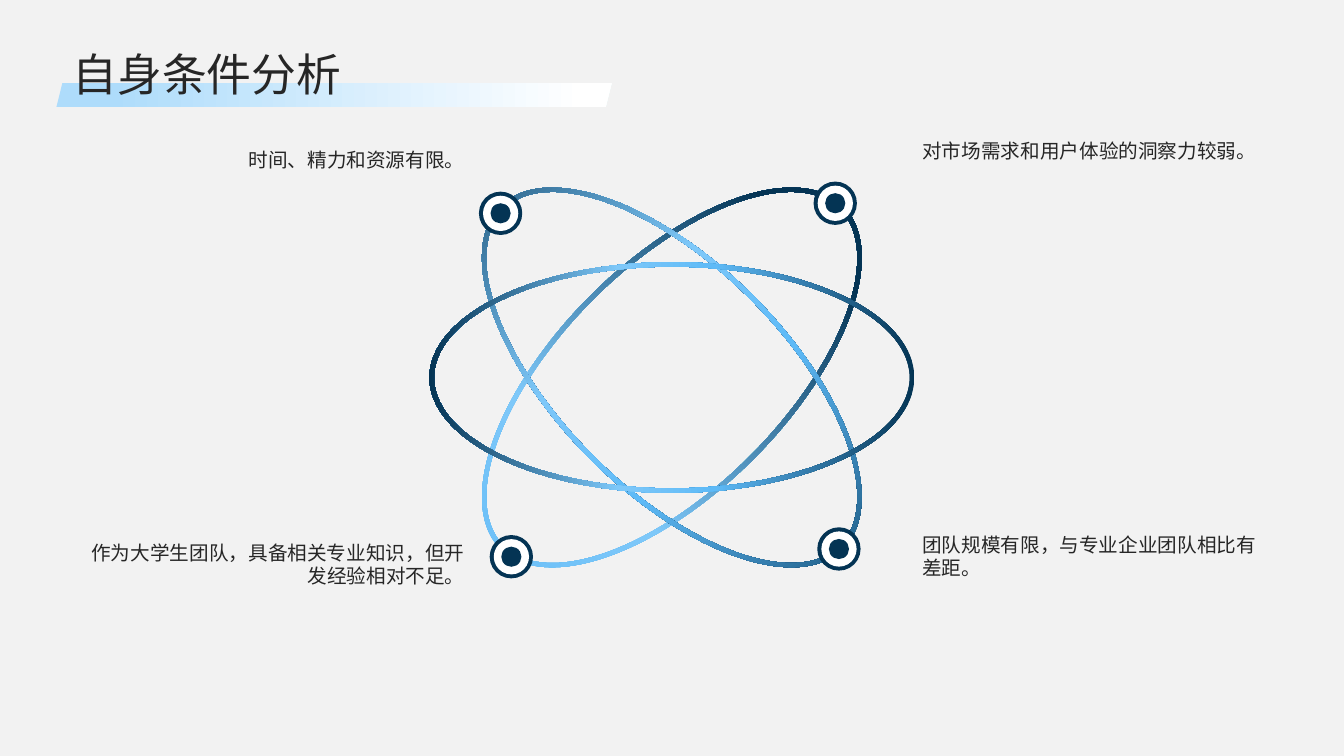
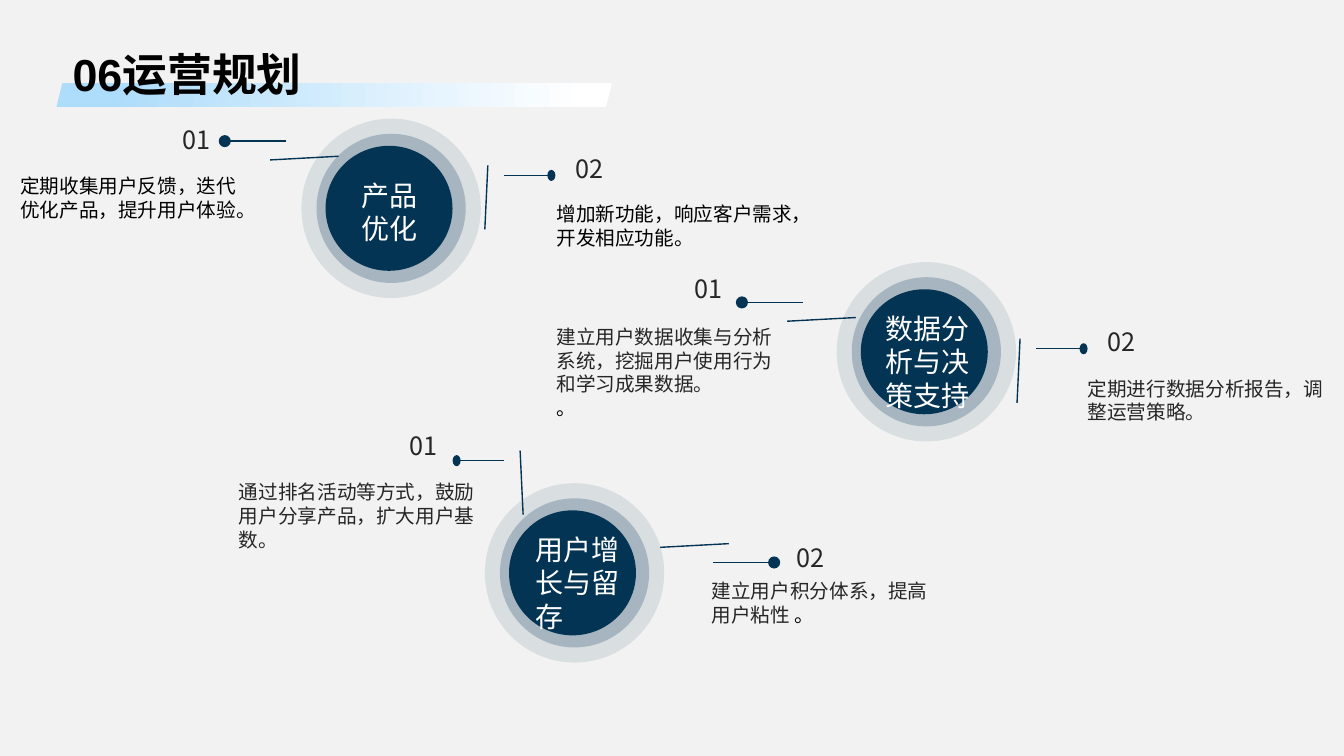
import pptx
import pptx.util
import pptx.dml.color
import pptx.enum.shapes
import pptx.enum.text
import pptx.oxml.ns
import lxml.etree

# The slide is a grid of 40 columns by 22.5 rows; every length counts its square cells.
COLUMNS, ROWS = 40, 22.5
CELL = pptx.util.Inches(1) / 3
COLORS = {
    "page": "F2F2F2", "navy": "043454", "blue": "5EBAF7", "sky": "7EC8F9",
    "pale": "AEDCFB", "white": "FFFFFF", "ink": "262626", "black": "000000",
}
FONT = "Noto Sans CJK SC"
SHAPES = pptx.enum.shapes.MSO_SHAPE
ANCHOR = pptx.enum.text.MSO_ANCHOR
ALIGN = pptx.enum.text.PP_ALIGN
RGB = pptx.dml.color.RGBColor.from_string
qn = pptx.oxml.ns.qn


def add_shape(page, kind, area, paint, opacity=100, angle=0):
    """Add an unlined shape; paint is a colour name or a list of (percent, colour) stops."""
    shape = page.shapes.add_shape(kind, *[round(n * CELL) for n in area])
    shape.shadow.inherit = False
    shape.line.fill.background()
    if isinstance(paint, str):
        shape.fill.solid()
        shape.fill.fore_color.rgb = RGB(COLORS[paint])
        if opacity < 100:
            color = shape._element.spPr.find(".//" + qn("a:srgbClr"))
            lxml.etree.SubElement(color, qn("a:alpha"), val=str(opacity * 1000))
        return shape
    shape.fill.gradient()
    shape.fill.gradient_angle = angle
    stops = shape._element.spPr.find(".//" + qn("a:gsLst"))
    for stop in list(stops):
        stops.remove(stop)
    for percent, name in paint:
        stop = lxml.etree.SubElement(stops, qn("a:gs"), pos=str(percent * 1000))
        lxml.etree.SubElement(stop, qn("a:srgbClr"), val=COLORS[name])
    return shape


def add_text(page, area, paragraphs, size, anchor=ANCHOR.TOP, align=ALIGN.LEFT,
             font=FONT, bold=False):
    """Add a text box; each paragraph is a list of (text, colour name) runs."""
    box = page.shapes.add_textbox(*[round(n * CELL) for n in area])
    frame = box.text_frame
    frame.word_wrap = True
    frame.vertical_anchor = anchor
    frame.margin_left = frame.margin_right = frame.margin_bottom = 0
    frame.margin_top = pptx.util.Pt(0.13 * size)
    for index, runs in enumerate(paragraphs):
        para = frame.add_paragraph() if index else frame.paragraphs[0]
        para.alignment = align
        para.line_spacing = pptx.util.Pt(1.2 * size)
        for text, color in runs:
            span = para.add_run()
            span.text = text
            span.font.size = pptx.util.Pt(size)
            span.font.bold = bold
            span.font.name = font
            span.font.color.rgb = RGB(COLORS[color])
            lxml.etree.SubElement(span._r.get_or_add_rPr(), qn("a:ea"), typeface=FONT)


deck = pptx.Presentation()
deck.slide_width = round(COLUMNS * CELL)
deck.slide_height = round(ROWS * CELL)

# Background, band and title of both slides
titles = [
    ("自身条件分析", "ink", FONT, False),
    ("06运营规划", "black", "Arial", True),
]
pages = []
for title, color, font, bold in titles:
    page = deck.slides.add_slide(deck.slide_layouts[6])
    page.background.fill.solid()
    page.background.fill.fore_color.rgb = RGB(COLORS["page"])
    add_shape(page, SHAPES.PARALLELOGRAM, (1.68, 2.46, 16.53, 0.72),
              [(10, "pale"), (95, "white")])
    add_text(page, (2.16, 1.41, 35.64, 1.41), [[(title, color)]], 32,
             ANCHOR.MIDDLE, font=font, bold=bold)
    pages.append(page)
conditions, operations = pages

# Slide 1: three crossing orbits with four nodes
fading = [(0, "blue"), (33, "sky"), (77, "navy")]
glowing = [(0, "navy"), (41, "blue"), (61, "sky"), (100, "navy")]
for rotation, stops, flipped in [(45, fading, False), (315, glowing, True), (270, glowing, True)]:
    orbit = add_shape(conditions, SHAPES.DONUT, (16.56, 4.02, 6.87, 14.43), stops, angle=90)
    orbit.adjustments[0] = 0.02
    orbit.rotation = rotation
    if flipped:
        orbit._element.spPr.find(qn("a:xfrm")).set("flipH", "1")

for x, y in [(15.22, 16.57), (24.86, 6.05), (24.97, 16.34), (14.9, 6.35)]:
    for diameter, color in [(1.29, "navy"), (1.05, "white"), (0.6, "navy")]:
        add_shape(conditions, SHAPES.OVAL,
                  (x - diameter / 2, y - diameter / 2, diameter, diameter), color)

remarks = [
    ((27.45, 4.05, 10.35, 6.33), ANCHOR.TOP, ALIGN.LEFT, "对市场需求和用户体验的洞察力较弱。"),
    ((27.45, 13.08, 10.02, 6.87), ANCHOR.MIDDLE, ALIGN.LEFT,
     "团队规模有限，与专业企业团队相比有差距。"),
    ((2.16, 13.41, 11.67, 6.69), ANCHOR.MIDDLE, ALIGN.RIGHT,
     "作为大学生团队，具备相关专业知识，但开发经验相对不足。"),
    ((2.16, 4.32, 11.67, 5.34), ANCHOR.TOP, ALIGN.RIGHT, "时间、精力和资源有限。"),
]
for area, anchor, align, text in remarks:
    add_text(conditions, area, [[(text, "ink")]], 14, anchor, align)

# Slide 2: two pointer forms, measured from the dot: dot size, stem length, tick ends, text width
pointer_forms = {
    "flat": ((0.36, 0.36), 1.83, (1.35, 0.56), (3.39, 0.45), 6.63),
    "steep": ((0.24, 0.33), 1.41, (1.98, 1.61), (1.89, -0.3), 7.08),
}
# form, dot centre, horizontal and vertical direction, number, its place and alignment, text place, text
pointers = [
    ("flat", (6.69, 4.2), (1, 1), "01", (4.53, 3.18), ALIGN.RIGHT, (0.6, 5.1),
     [[("定期收集用户反馈，迭代优化产品，提升用户体验。", "black")]]),
    ("steep", (16.41, 5.22), (-1, 1), "02", (17.13, 4.05), ALIGN.LEFT, (16.56, 5.94),
     [[("增加新功能，响应客户需求，开发相应功能。", "black")]]),
    ("flat", (22.08, 9), (1, 1), "01", (19.77, 7.62), ALIGN.RIGHT, (16.56, 9.6),
     [[("建立用户数据收集与分析系统，挖掘用户使用行为和学习成果数据。", "ink")],
      [("。", "black")]]),
    ("steep", (32.25, 10.38), (-1, 1), "02", (32.97, 9.21), ALIGN.LEFT, (32.37, 11.13),
     [[("定期进行数据分析报告，调整运营策略。", "ink")]]),
    ("steep", (13.59, 13.71), (1, 1), "01", (12.18, 12.3), ALIGN.LEFT, (7.11, 14.22),
     [[("通过排名活动等方式，鼓励用户分享产品，扩大用户基数。", "ink")]]),
    ("flat", (23.04, 16.74), (-1, -1), "02", (23.7, 15.63), ALIGN.LEFT, (21.18, 17.16),
     [[("建立用户积分体系，提高用户粘性 ", "ink"), ("。", "black")]]),
]
for form, (x, y), (across, down), number, number_at, align, text_at, paragraphs in pointers:
    (dot_width, dot_height), stem, tick_start, tick_end, text_width = pointer_forms[form]
    for start, end in [((0, 0), (stem, 0)), (tick_start, tick_end)]:
        ends = [round(n * CELL) for dx, dy in (start, end)
                for n in (x + across * dx, y + down * dy)]
        line = operations.shapes.add_connector(pptx.enum.shapes.MSO_CONNECTOR.STRAIGHT, *ends)
        line.line.color.rgb = RGB(COLORS["navy"])
        line.line.width = pptx.util.Pt(1)
        lxml.etree.SubElement(line._element.spPr, qn("a:effectLst"))
    add_shape(operations, SHAPES.OVAL,
              (x - dot_width / 2, y - dot_height / 2, dot_width, dot_height), "navy")
    add_text(operations, (*number_at, 1.74, 1.41), [[(number, "ink")]], 18, ANCHOR.BOTTOM, align)
    add_text(operations, (*text_at, text_width, 2), paragraphs, 14)

# Hub centre, label offset from it, label width, label lines
hubs = [
    ((11.64, 6.2), (-0.87, -1.01), 2.4, ["产品", "优化"]),
    ((27.57, 10.47), (-1.23, -1.32), 3.27, ["数据分析与决策支持"]),
    ((17.1, 17.05), (-1.17, -1.32), 2.7, ["用户增长与留存"]),
]
for (x, y), (dx, dy), label_width, lines in hubs:
    for width, height, shift, opacity in [
            (5.34, 5.34, 0, 10), (4.44, 4.44, 0, 24), (3.78, 3.72, -0.06, 100)]:
        add_shape(operations, SHAPES.OVAL,
                  (x + shift - width / 2, y - height / 2, width, height), "navy", opacity)
    add_text(operations, (x + dx, y + dy, label_width, 3),
             [[(text, "white")] for text in lines], 20)

deck.save("out.pptx")
